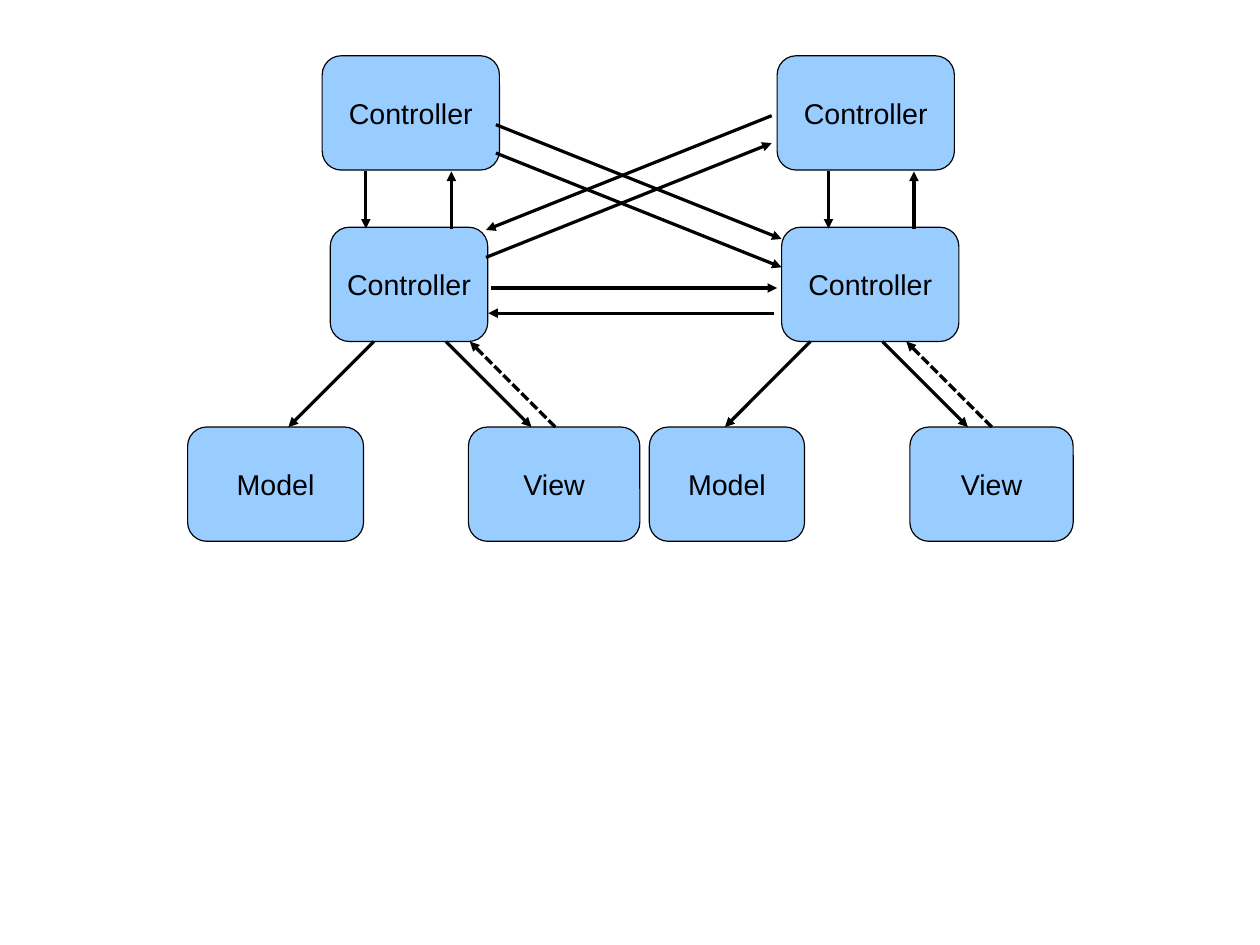
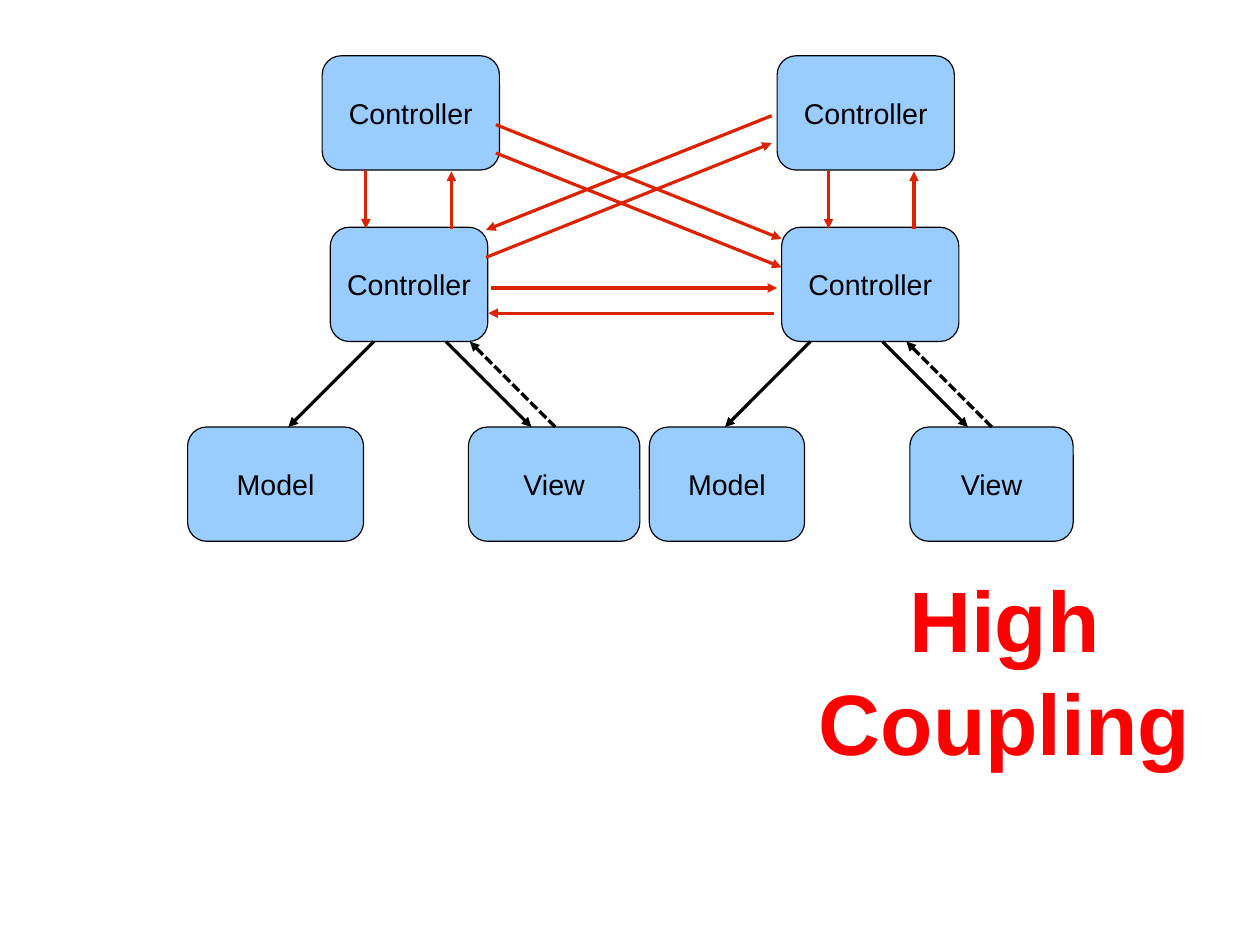
from lxml.etree import SubElement
from pptx import Presentation
from pptx.dml.color import RGBColor
from pptx.enum.dml import MSO_LINE
from pptx.enum.shapes import MSO_CONNECTOR, MSO_SHAPE
from pptx.enum.text import MSO_ANCHOR, PP_ALIGN
from pptx.oxml.ns import qn
from pptx.util import Cm, Pt

BLACK = RGBColor(0x00, 0x00, 0x00)
BOX_BLUE = RGBColor(0x99, 0xCC, 0xFF)
COUPLING_RED = RGBColor(0xDC, 0x23, 0x00)
VERDICT_RED = RGBColor(0xFF, 0x00, 0x00)
FONT = "Arial"

# Diagram measures, in cm
BOX_HEIGHT = 2.54
ROW_TOP = 1.24       # upper controllers
TRIAD_TOP = 5.05     # lower controllers
DIAGONAL = 1.9       # width and height of the arrows inside a triad
SPAN = 6.35          # width of the arrows between the two sides


def add_words(paragraph, words, size, color, bold=False):
    paragraph.alignment = PP_ALIGN.CENTER
    run = paragraph.add_run()
    run.text = words
    run.font.name = FONT
    run.font.size = Pt(size)
    run.font.bold = bold
    run.font.color.rgb = color


def add_box(slide, label, left, top, width):
    box = slide.shapes.add_shape(MSO_SHAPE.ROUNDED_RECTANGLE,
                                 Cm(left), Cm(top), Cm(width), Cm(BOX_HEIGHT))
    box.shadow.inherit = False
    box.fill.solid()
    box.fill.fore_color.rgb = BOX_BLUE
    box.line.color.rgb = BLACK
    box.line.width = Pt(0)
    box.text_frame.vertical_anchor = MSO_ANCHOR.MIDDLE
    add_words(box.text_frame.paragraphs[0], label, 18, BLACK)


def add_arrow(slide, start, end, color, dashed=False):
    arrow = slide.shapes.add_connector(MSO_CONNECTOR.STRAIGHT,
                                       *map(Cm, start), *map(Cm, end))
    arrow.line.color.rgb = color
    arrow.line.width = Pt(0)
    if dashed:
        arrow.line.dash_style = MSO_LINE.SQUARE_DOT
    outline = arrow.line._get_or_add_ln()
    SubElement(outline, qn("a:tailEnd"), type="triangle")
    SubElement(outline.getparent(), qn("a:effectLst"))


def add_triad(slide, left, top, model, view, controller):
    """Each part is (offset from left, width)."""
    bottom = top + BOX_HEIGHT
    lower_top = bottom + DIAGONAL
    for label, (offset, width), box_top in (("Model", model, lower_top),
                                            ("View", view, lower_top),
                                            ("Controller", controller, top)):
        add_box(slide, label, left + offset, box_top, width)
    to_model, to_view, from_view = left + 4.14, left + 5.74, left + 8.17
    add_arrow(slide, (to_model, bottom), (to_model - DIAGONAL, lower_top), BLACK)
    add_arrow(slide, (to_view, bottom), (to_view + DIAGONAL, lower_top), BLACK)
    add_arrow(slide, (from_view, lower_top), (from_view - DIAGONAL, bottom),
              BLACK, dashed=True)


def add_upper_controller(slide, left, top, down_offset, color):
    add_box(slide, "Controller", left, top, 3.94)
    down, up = left + down_offset, left + down_offset + 1.9
    start, end = top + BOX_HEIGHT + 0.03, top + BOX_HEIGHT + 1.3
    add_arrow(slide, (down, start), (down, end), color)
    add_arrow(slide, (up, end), (up, start), color)


def add_sideways_arrows(slide, top, color):
    add_arrow(slide, (10.92, top + 1.35), (10.92 + SPAN, top + 1.35), color)
    add_arrow(slide, (10.85 + SPAN, top + 1.91), (10.85, top + 1.91), color)


def add_crossing_arrows(slide, top, color):
    # Lower left and upper right, both ways
    left, right = 10.8, 10.8 + SPAN
    add_arrow(slide, (left, top + 4.48), (right, top + 1.94), color)
    add_arrow(slide, (right, top + 1.33), (left, top + 3.87), color)
    # Upper left to lower right
    for drop in (1.53, 2.16):
        add_arrow(slide, (11.02, top + drop),
                  (11.02 + SPAN, top + drop + 2.54), color)


def add_diagram(slide, coupling_color):
    add_triad(slide, 4.17, TRIAD_TOP, model=(0, 3.91), view=(6.24, 3.81),
              controller=(3.17, 3.5))
    add_triad(slide, 13.87, TRIAD_TOP, model=(0.56, 3.45), view=(6.35, 3.63),
              controller=(3.5, 3.94))
    add_sideways_arrows(slide, TRIAD_TOP, coupling_color)
    add_upper_controller(slide, 17.27, ROW_TOP, 1.14, coupling_color)
    add_upper_controller(slide, 7.16, ROW_TOP, 0.97, coupling_color)
    add_crossing_arrows(slide, ROW_TOP, coupling_color)


def add_verdict(slide, left, top, width, height):
    verdict = slide.shapes.add_textbox(Cm(left), Cm(top), Cm(width), Cm(height))
    frame = verdict.text_frame
    frame.word_wrap = True
    add_words(frame.paragraphs[0], "High", 54, VERDICT_RED, bold=True)
    add_words(frame.add_paragraph(), "Coupling", 54, VERDICT_RED, bold=True)


def main():
    deck = Presentation()
    deck.slide_width, deck.slide_height = Cm(28), Cm(21)
    blank = deck.slide_layouts[6]

    add_diagram(deck.slides.add_slide(blank), BLACK)

    coupled = deck.slides.add_slide(blank)
    add_diagram(coupled, COUPLING_RED)
    add_verdict(coupled, 16.61, 12.47, 11.43, 4.5)

    deck.save("out.pptx")


if __name__ == "__main__":
    main()
